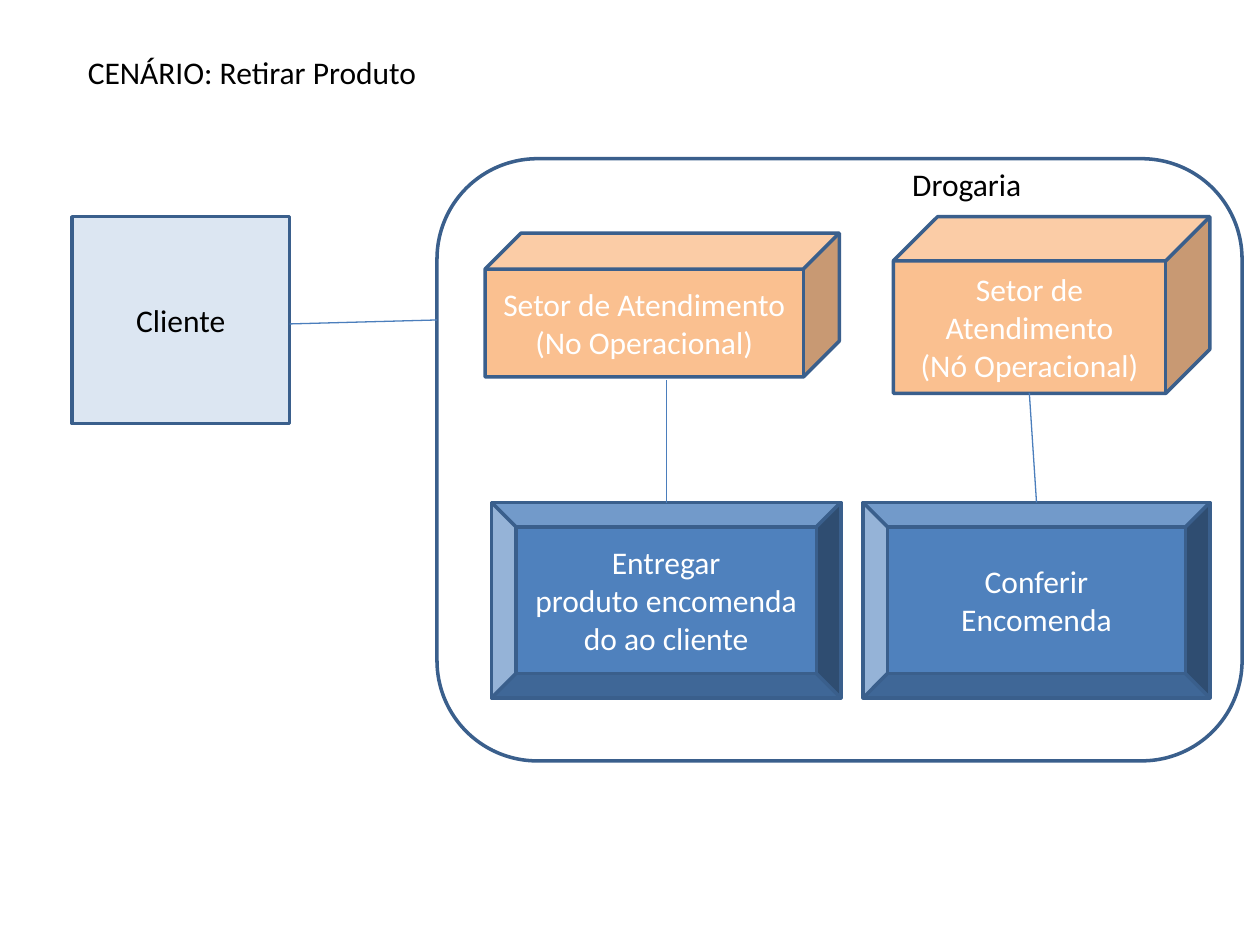
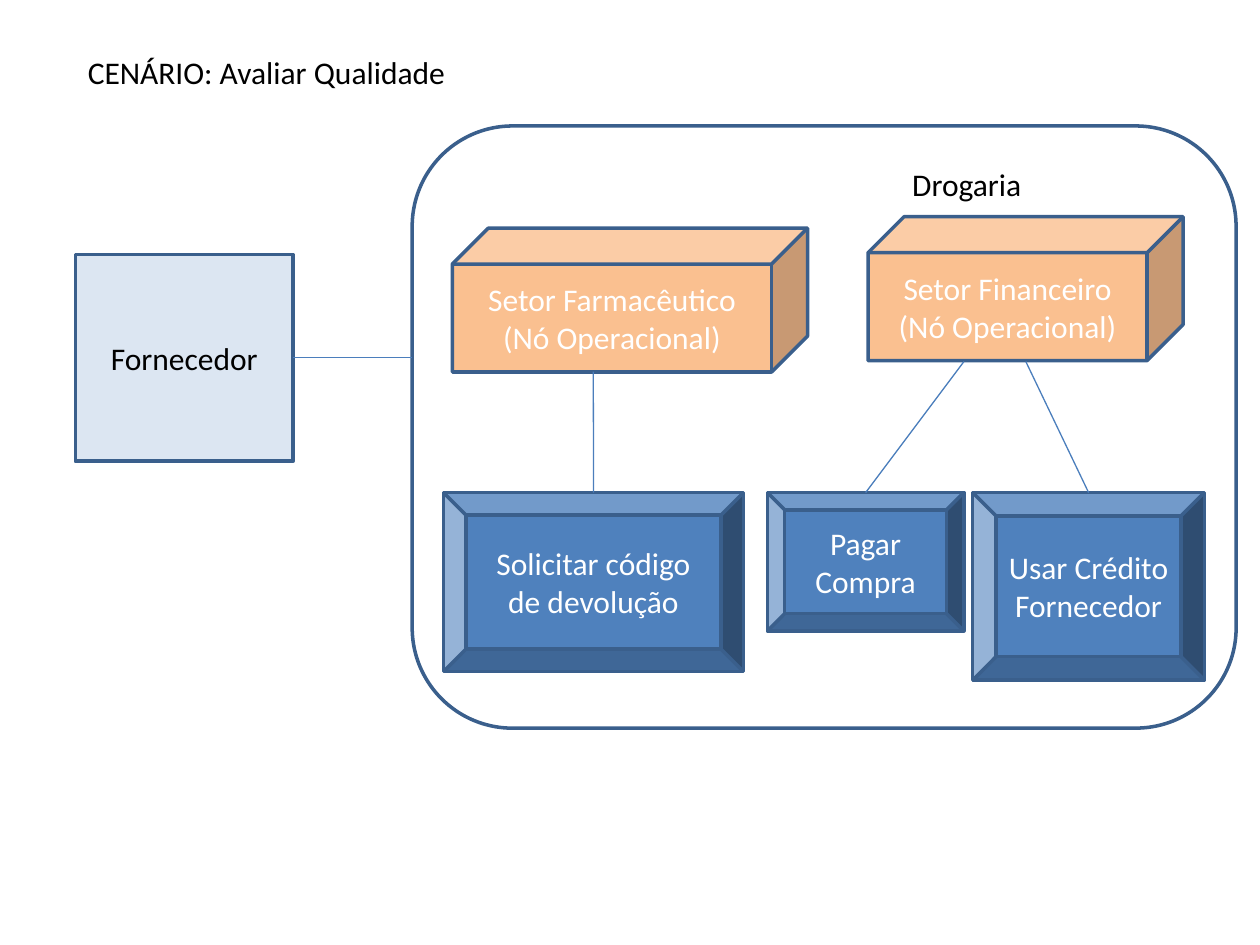
import pptx
import pptx.util
import pptx.dml.color
import pptx.enum.shapes
import pptx.enum.text
import lxml.etree

Cm, Pt = pptx.util.Cm, pptx.util.Pt
RGBColor = pptx.dml.color.RGBColor
Preset = pptx.enum.shapes.MSO_SHAPE

WHITE = RGBColor(0xFF, 0xFF, 0xFF)
BLACK = RGBColor(0x00, 0x00, 0x00)
OUTLINE = RGBColor(0x3A, 0x5F, 0x8C)
LINK = RGBColor(0x4B, 0x7E, 0xBC)
ACTOR_FILL = RGBColor(0xDC, 0xE6, 0xF2)
SECTOR_FILL = RGBColor(0xFA, 0xC0, 0x90)
TASK_FILL = RGBColor(0x4F, 0x81, 0xBD)

ACTOR_WIDTH, ACTOR_HEIGHT = 4.39, 4.17
BOUNDARY_HEIGHT = 12.14
LABEL_HEIGHT = 1.02

# Lengths in centimetres; boxes are (left, top, width, height).
# Each task: text lines, left, width, height, start of its link.
scenarios = [
    {
        "title": "CENÁRIO: Retirar Produto",
        "boundary": (8.81, 3.2, 16.23),
        "actor": ("Cliente", 1.45, 4.37),
        "actor_link": (6.53, 6.45),
        "sectors": [
            (["Setor de Atendimento", "(Nó Operacional)"], (18.01, 4.37, 6.38, 3.56)),
            (["Setor de Atendimento", "(No Operacional)"], (9.78, 4.7, 7.14, 2.9)),
        ],
        "task_top": 10.13,
        "tasks": [
            (["Conferir", "Encomenda"], 17.4, 6.99, 3.94, (20.75, 7.92)),
            (["Entregar produto\u00a0encomendado ao cliente"], 9.91, 7.04, 3.94, (13.43, 7.67)),
        ],
    },
    {
        "title": "CENÁRIO: Avaliar Qualidade",
        "boundary": (8.31, 2.54, 16.61),
        "actor": ("Fornecedor", 1.52, 5.13),
        "actor_link": (7.21, 7.21),
        "sectors": [
            (["Setor Farmacêutico", "(Nó Operacional)"], (9.12, 4.6, 7.16, 2.9)),
            (["Setor Financeiro", "(Nó Operacional)"], (17.5, 4.37, 6.35, 2.9)),
        ],
        "task_top": 9.93,
        "tasks": [
            (["Pagar Compra"], 15.47, 3.96, 2.79, (19.43, 7.29)),
            (["Solicitar código de\u00a0devolução"], 8.94, 6.05, 3.61, (11.96, 7.49)),
            (["Usar Crédito Fornecedor"], 19.61, 4.67, 3.78, (20.68, 7.29)),
        ],
    },
]


def add_box(slide, preset, box, lines, fill=None, ink=BLACK):
    """Add an outlined shape, or a plain label when preset is None."""
    place = [Cm(length) for length in box]
    if preset is None:
        part = slide.shapes.add_textbox(*place)
    else:
        part = slide.shapes.add_shape(preset, *place)
        part.shadow.inherit = False
        part.fill.solid()
        part.fill.fore_color.rgb = fill
        part.line.color.rgb = OUTLINE
        part.line.width = Pt(2)
        part.text_frame.vertical_anchor = pptx.enum.text.MSO_ANCHOR.MIDDLE
    frame = part.text_frame
    frame.word_wrap = True
    for number, line in enumerate(lines):
        paragraph = frame.add_paragraph() if number else frame.paragraphs[0]
        if preset is not None:
            paragraph.alignment = pptx.enum.text.PP_ALIGN.CENTER
        run = paragraph.add_run()
        run.text = line
        run.font.name = "Calibri"
        run.font.size = Pt(18)
        run.font.color.rgb = ink


def add_link(slide, start, end):
    """Add a thin straight line without a shadow."""
    link = slide.shapes.add_connector(
        pptx.enum.shapes.MSO_CONNECTOR.STRAIGHT,
        *[Cm(length) for length in (*start, *end)])
    link.line.color.rgb = LINK
    link.line.width = Pt(0.75)
    properties = link._element.spPr
    lxml.etree.SubElement(properties, pptx.oxml.ns.qn("a:effectLst"))


deck = pptx.Presentation()
deck.slide_width, deck.slide_height = Cm(25.4), Cm(19.05)

for scenario in scenarios:
    slide = deck.slides.add_slide(deck.slide_layouts[6])

    # Company boundary, its name and the scenario title
    boundary = scenario["boundary"]
    add_box(slide, Preset.ROUNDED_RECTANGLE, (*boundary, BOUNDARY_HEIGHT), [], WHITE)
    add_box(slide, None, (18.14, 3.2, 3.99, LABEL_HEIGHT), ["Drogaria"])
    add_box(slide, None, (1.52, 0.94, 10.67, LABEL_HEIGHT), [scenario["title"]])

    # External actor and its link to the boundary
    actor, left, top = scenario["actor"]
    add_box(slide, Preset.RECTANGLE, (left, top, ACTOR_WIDTH, ACTOR_HEIGHT),
            [actor], ACTOR_FILL)
    start_y, end_y = scenario["actor_link"]
    add_link(slide, (left + ACTOR_WIDTH, start_y), (boundary[0], end_y))

    # Operational sectors
    for lines, box in scenario["sectors"]:
        add_box(slide, Preset.CUBE, box, lines, SECTOR_FILL, WHITE)

    # Tasks, each linked from its sector to the middle of its top edge
    top = scenario["task_top"]
    for lines, left, width, height, start in scenario["tasks"]:
        add_box(slide, Preset.BEVEL, (left, top, width, height), lines, TASK_FILL, WHITE)
        add_link(slide, start, (left + width / 2, top))

deck.save("out.pptx")
